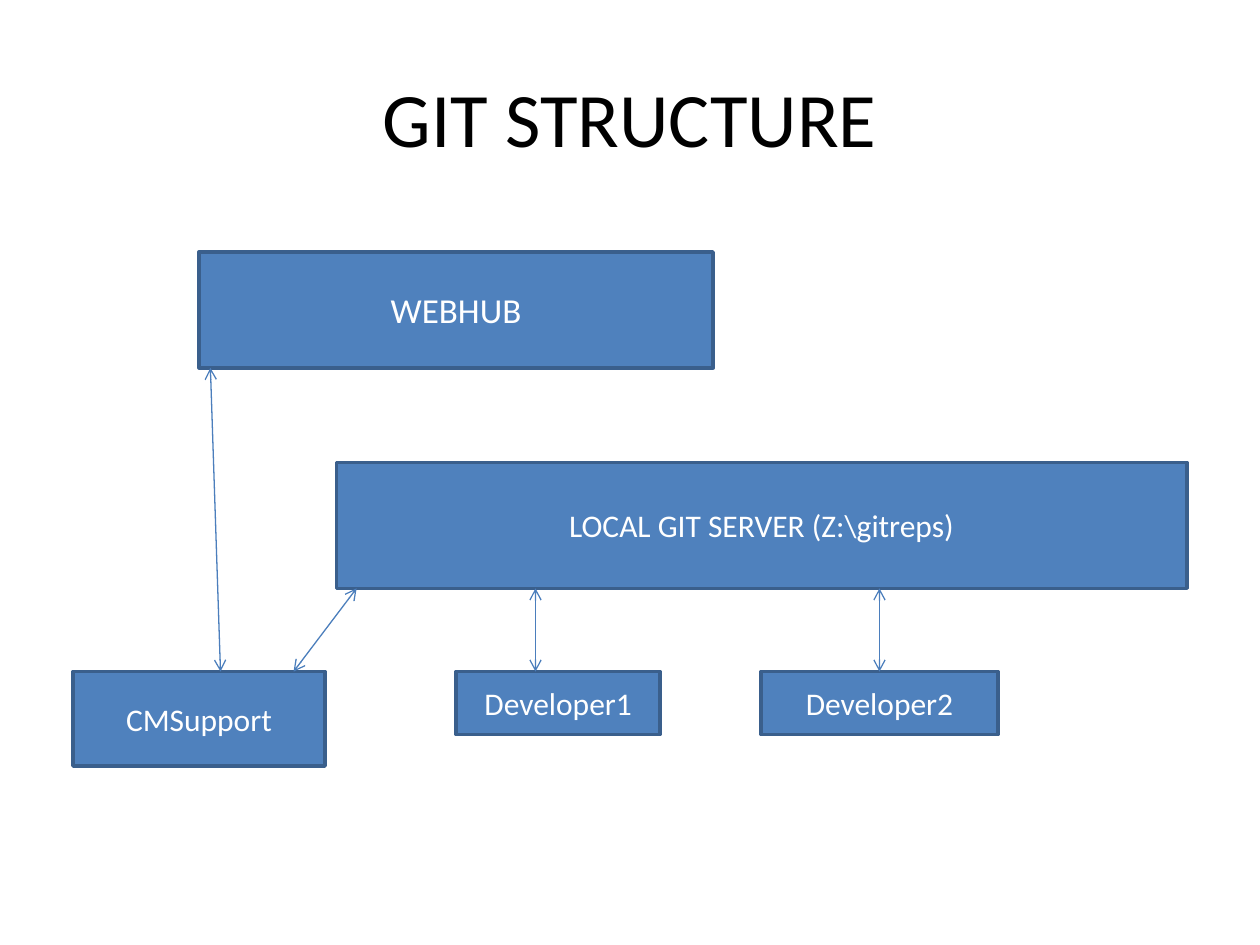
import pptx
import pptx.util
import pptx.dml.color
import pptx.enum.shapes
import pptx.enum.text
import pptx.oxml
import pptx.oxml.ns

Inches = pptx.util.Inches


def color(hex_string):
    return pptx.dml.color.RGBColor.from_string(hex_string)


class Diagram:
    font = "Calibri"
    box_fill = "4F81BD"
    box_line = "3A5F8C"
    arrow_line = "4B7EBC"

    def __init__(self, slide):
        self.slide = slide

    def add_label(self, shape, text, size, text_color):
        frame = shape.text_frame
        frame.word_wrap = True
        frame.vertical_anchor = pptx.enum.text.MSO_ANCHOR.MIDDLE
        paragraph = frame.paragraphs[0]
        paragraph.alignment = pptx.enum.text.PP_ALIGN.CENTER
        run = paragraph.add_run()
        run.text = text
        run.font.name = self.font
        run.font.size = pptx.util.Pt(size)
        run.font.color.rgb = color(text_color)

    def add_title(self, text, left, top, width, height):
        shape = self.slide.shapes.add_textbox(
            Inches(left), Inches(top), Inches(width), Inches(height))
        self.add_label(shape, text, 44, "000000")

    def add_box(self, text, left, top, width, height, size=18):
        shape = self.slide.shapes.add_shape(
            pptx.enum.shapes.MSO_SHAPE.RECTANGLE,
            Inches(left), Inches(top), Inches(width), Inches(height))
        shape.shadow.inherit = False
        shape.fill.solid()
        shape.fill.fore_color.rgb = color(self.box_fill)
        shape.line.color.rgb = color(self.box_line)
        shape.line.width = pptx.util.Pt(2)
        self.add_label(shape, text, size, "FFFFFF")

    def add_double_arrow(self, start_x, start_y, end_x, end_y):
        connector = self.slide.shapes.add_connector(
            pptx.enum.shapes.MSO_CONNECTOR.STRAIGHT,
            Inches(start_x), Inches(start_y), Inches(end_x), Inches(end_y))
        connector.line.color.rgb = color(self.arrow_line)
        connector.line.width = pptx.util.Pt(0.75)
        properties = connector._element.spPr
        line = properties.find(pptx.oxml.ns.qn("a:ln"))
        for end in ("a:headEnd", "a:tailEnd"):
            line.append(pptx.oxml.parse_xml(
                f'<{end} {pptx.oxml.ns.nsdecls("a")} type="arrow"/>'))
        properties.append(pptx.oxml.parse_xml(
            f'<a:effectLst {pptx.oxml.ns.nsdecls("a")}/>'))


presentation = pptx.Presentation()
presentation.slide_width = Inches(10)
presentation.slide_height = Inches(7.5)
diagram = Diagram(presentation.slides.add_slide(presentation.slide_layouts[6]))

host_top, host_height = 2, 0.92
server_top, server_height = 3.67, 1
client_top = 5.33
host_bottom = host_top + host_height
server_bottom = server_top + server_height

diagram.add_title("GIT STRUCTURE", 0.5, 0.3, 9, 1.25)
diagram.add_box("WEBHUB", 1.58, host_top, 4.08, host_height, size=20)
diagram.add_box("LOCAL GIT SERVER (Z:\\gitreps)", 2.67, server_top, 6.75, server_height)

for name, left, width, height in (
    ("CMSupport", 0.58, 2, 0.75),
    ("Developer1", 3.62, 1.62, 0.5),
    ("Developer2", 6.04, 1.88, 0.5),
):
    diagram.add_box(name, left, client_top, width, height)

for start_x, start_y, end_x in (
    (4.25, server_bottom, 4.25),
    (6.98, server_bottom, 6.98),
    (1.67, host_bottom, 1.75),
    (2.83, server_bottom, 2.33),
):
    diagram.add_double_arrow(start_x, start_y, end_x, client_top)

presentation.save("out.pptx")
